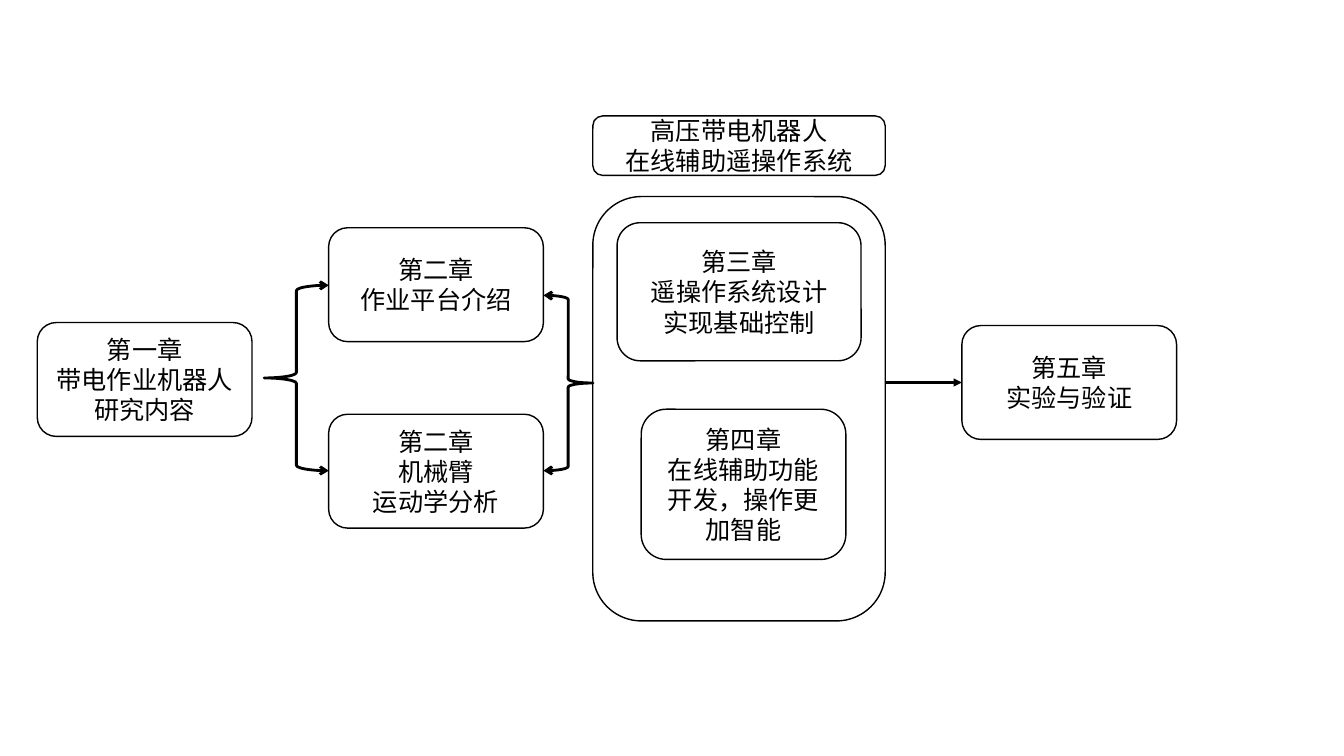
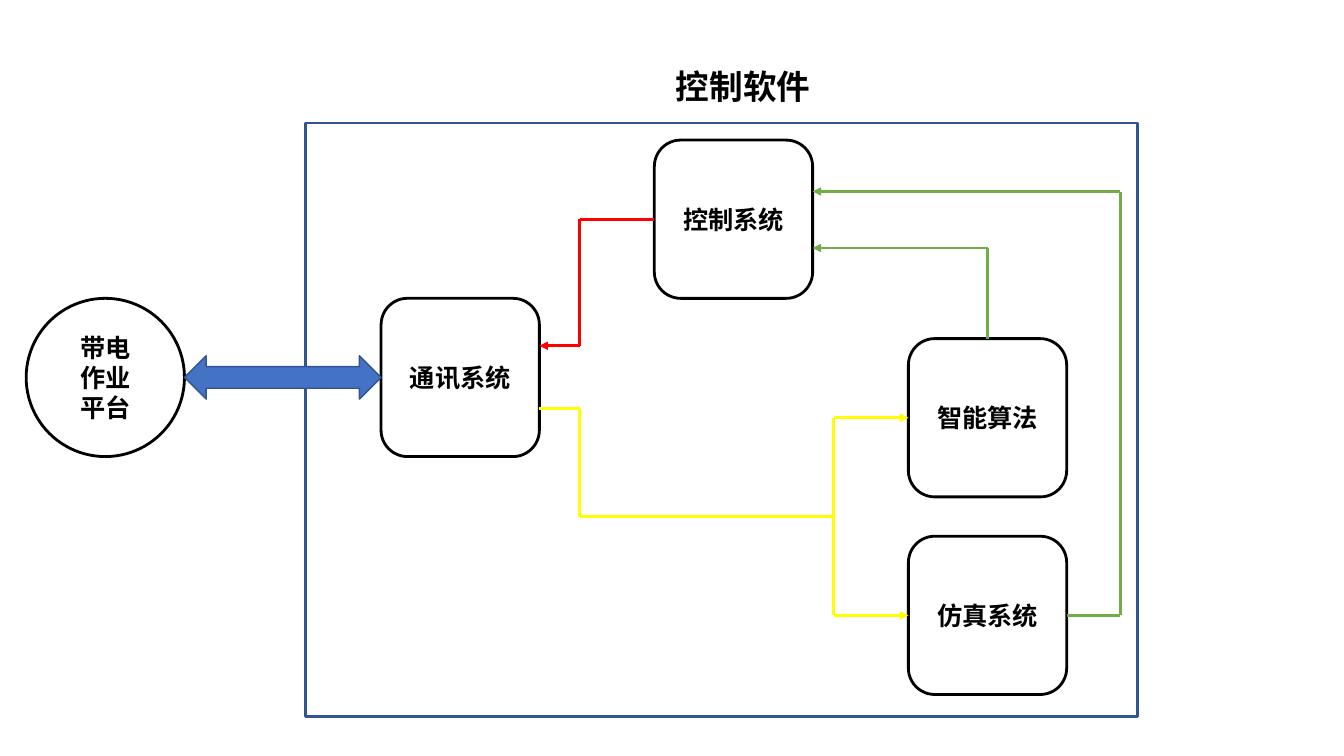
from pptx import Presentation
from pptx.dml.color import RGBColor
from pptx.enum.shapes import MSO_CONNECTOR, MSO_SHAPE
from pptx.enum.text import MSO_ANCHOR, PP_ALIGN
from pptx.oxml.ns import qn
from pptx.util import Inches, Pt
from lxml import etree

BLACK = RGBColor(0x00, 0x00, 0x00)
WHITE = RGBColor(0xFF, 0xFF, 0xFF)
BLUE = RGBColor(0x44, 0x72, 0xC4)
NAVY = RGBColor(0x32, 0x54, 0x91)
RED = RGBColor(0xFF, 0x00, 0x00)
YELLOW = RGBColor(0xFF, 0xFF, 0x00)
GREEN = RGBColor(0x70, 0xAD, 0x47)
RECT = MSO_SHAPE.RECTANGLE
ROUND = MSO_SHAPE.ROUNDED_RECTANGLE
OVAL = MSO_SHAPE.OVAL
LEFT_BRACE = MSO_SHAPE.LEFT_BRACE
RIGHT_BRACE = MSO_SHAPE.RIGHT_BRACE
DOUBLE_ARROW = MSO_SHAPE.LEFT_RIGHT_ARROW
STRAIGHT = MSO_CONNECTOR.STRAIGHT
CENTER = PP_ALIGN.CENTER
MIDDLE = MSO_ANCHOR.MIDDLE
TOP, LEFT, BOTTOM, RIGHT = range(4)
TILE = 1.57


def side(s, idx):
    x, y, w, h = (v / Inches(1) for v in (s.left, s.top, s.width, s.height))
    return {TOP: (x + w / 2, y), LEFT: (x, y + h / 2),
            BOTTOM: (x + w / 2, y + h), RIGHT: (x + w, y + h / 2)}[idx]


class Deck:
    font = "Noto Sans CJK SC"

    def __init__(self):
        self.prs = Presentation()
        self.prs.slide_width = Inches(13.33)
        self.prs.slide_height = Inches(7.5)

    def new_slide(self):
        self.slide = self.prs.slides.add_slide(self.prs.slide_layouts[6])

    def add_text(self, tf, lines, size=18, bold=False):
        tf.word_wrap = True
        for i, line in enumerate(lines):
            p = tf.add_paragraph() if i else tf.paragraphs[0]
            p.alignment = CENTER
            r = p.add_run()
            r.text = line
            r.font.name = self.font
            r.font.size = Pt(size)
            r.font.bold = bold
            r.font.color.rgb = BLACK
            ea = etree.SubElement(r.font._element, qn("a:ea"))
            ea.set("typeface", self.font)

    def shape(self, kind, x, y, w, h, lines=(), fill=WHITE, line=BLACK,
              width=1, bold=False):
        s = self.slide.shapes.add_shape(
            kind, Inches(x), Inches(y), Inches(w), Inches(h))
        s.shadow.inherit = False
        if fill is None:
            s.fill.background()
        else:
            s.fill.solid()
            s.fill.fore_color.rgb = fill
        s.line.color.rgb = line
        s.line.width = Pt(width)
        s.text_frame.vertical_anchor = MIDDLE
        self.add_text(s.text_frame, lines, bold=bold)
        return s

    def tile(self, x, y, *lines, kind=ROUND):
        return self.shape(kind, x, y, TILE, TILE, lines, width=2, bold=True)

    def arrowheads(self, s, style, *ends):
        ln = s._element.spPr.find(qn("a:ln"))
        for end in ends:
            etree.SubElement(ln, qn("a:" + end)).set("type", style)

    def brace(self, kind, x, y, w, h):
        s = self.shape(kind, x, y, w, h, fill=None, width=2)
        self.arrowheads(s, "arrow", "headEnd", "tailEnd")

    def line(self, start, end, color, width=2):
        c = self.slide.shapes.add_connector(
            STRAIGHT, *(Inches(v) for v in (*start, *end)))
        c.line.color.rgb = color
        c.line.width = Pt(width)
        etree.SubElement(c._element.spPr, qn("a:effectLst"))
        return c

    def route(self, color, points, begin=None, end=None, arrow=True, width=2):
        lines = [self.line(a, b, color, width)
                 for a, b in zip(points, points[1:])]
        if begin:
            lines[0].begin_connect(*begin)
        if end:
            lines[-1].end_connect(*end)
        if arrow:
            self.arrowheads(lines[-1], "triangle", "tailEnd")

    def heading(self, x, y, w, h, text):
        s = self.slide.shapes.add_textbox(
            Inches(x), Inches(y), Inches(w), Inches(h))
        self.add_text(s.text_frame, [text], size=24, bold=True)


def chapters(d):
    d.new_slide()
    d.shape(ROUND, 5.88, 1.95, 2.9, 4.21)
    boxes = [
        (0.37, 3.2, 2.13, 1.13, ["第一章", "带电作业机器人研究内容"]),
        (3.26, 2.26, 2.13, 1.13, ["第二章", "作业平台介绍"]),
        (3.26, 4.11, 2.13, 1.13, ["第二章", "机械臂", "运动学分析"]),
        (6.12, 2.21, 2.42, 1.37, ["第三章", "遥操作系统设计", "实现基础控制"]),
        (6.36, 4.06, 2.03, 1.49, ["第四章", "在线辅助功能开发，操作更加智能"]),
        (5.88, 1.15, 2.9, 0.59, ["高压带电机器人", "在线辅助遥操作系统"]),
        (9.54, 3.23, 2.13, 1.13, ["第五章", "实验与验证"]),
    ]
    for box in boxes:
        final = d.shape(ROUND, *box)
    d.brace(LEFT_BRACE, 2.62, 2.83, 0.64, 1.84)
    d.brace(RIGHT_BRACE, 5.39, 2.93, 0.49, 1.74)
    x, y = side(final, LEFT)
    d.route(BLACK, [(8.78, y), (x, y)], end=(final, LEFT), width=1.5)


def control_software(d):
    d.new_slide()
    d.shape(RECT, 3.03, 1.22, 8.25, 5.89, line=NAVY, width=2)
    comms = d.tile(3.78, 2.96, "通讯系统")
    control = d.tile(6.49, 1.39, "控制系统")
    simulation = d.tile(9.01, 5.32, "仿真系统")
    algorithm = d.tile(9.01, 3.36, "智能算法")

    comms_x = side(comms, RIGHT)[0]
    control_x = side(control, RIGHT)[0]
    alg_in, sim_in = side(algorithm, LEFT), side(simulation, LEFT)
    alg_out, sim_out = side(algorithm, TOP), side(simulation, RIGHT)
    command = side(control, LEFT)
    bus_x, bend_x, loop_x = 8.27, 5.75, 11.11
    fork = (bus_x, (alg_in[1] + sim_in[1]) / 2)

    d.route(YELLOW, [(comms_x, 4.05), (bend_x, 4.05), (bend_x, fork[1]), fork],
            arrow=False)
    for target, point in ((algorithm, alg_in), (simulation, sim_in)):
        d.route(YELLOW, [fork, (bus_x, point[1]), point], end=(target, LEFT))
    d.route(GREEN, [alg_out, (alg_out[0], 2.46), (control_x, 2.46)],
            begin=(algorithm, TOP))
    d.route(GREEN, [sim_out, (loop_x, sim_out[1]), (loop_x, 1.9),
                    (control_x, 1.9)], begin=(simulation, RIGHT))
    d.route(RED, [command, (bend_x, command[1]), (bend_x, 3.43),
                  (comms_x, 3.43)], begin=(control, LEFT))

    d.tile(0.26, 2.96, "带电", "作业", "平台", kind=OVAL)
    d.shape(DOUBLE_ARROW, 1.83, 3.53, 1.95, 0.43, fill=BLUE, line=NAVY)
    d.heading(5.2, 0.6, 4.34, 0.5, "控制软件")


def main():
    d = Deck()
    chapters(d)
    control_software(d)
    d.prs.save("out.pptx")


if __name__ == "__main__":
    main()
